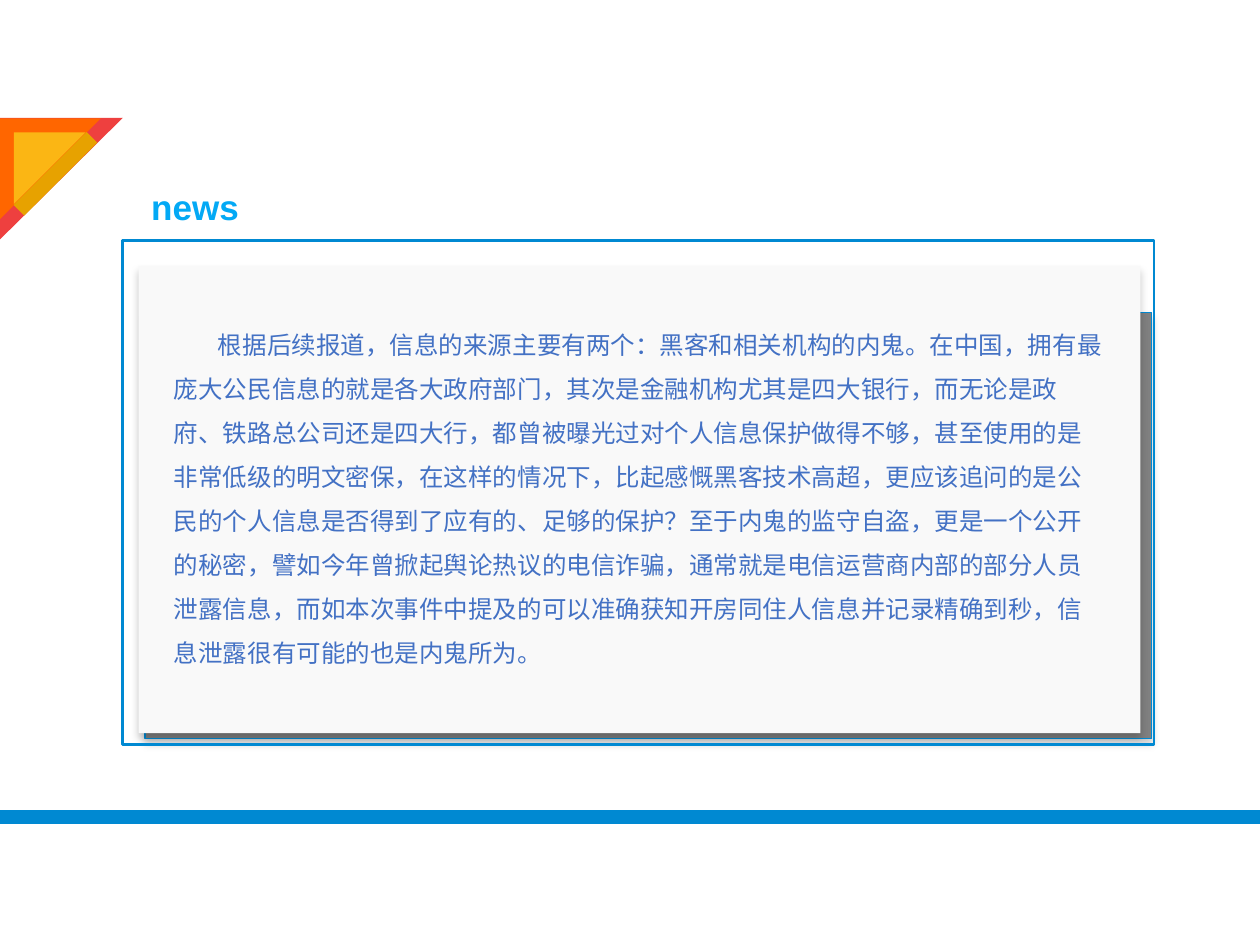
"""Build the news slide: a framed card of text with a corner ornament."""
from dataclasses import dataclass
from typing import Optional

from lxml import etree
from pptx import Presentation
from pptx.dml.color import RGBColor
from pptx.enum import shapes, text
from pptx.oxml import ns
from pptx.util import Inches, Pt

RECT = shapes.MSO_SHAPE.RECTANGLE
TRIANGLE = shapes.MSO_SHAPE.RIGHT_TRIANGLE
BLUE = "0089D2"
NEWS = (
    "根据后续报道，信息的来源主要有两个：黑客和相关机构的内鬼。在中国，拥有最庞大公民信息的就是各大政府部门，"
    "其次是金融机构尤其是四大银行，而无论是政府、铁路总公司还是四大行，都曾被曝光过对个人信息保护做得不够，"
    "甚至使用的是非常低级的明文密保，在这样的情况下，比起感慨黑客技术高超，更应该追问的是公民的个人信息是否"
    "得到了应有的、足够的保护？至于内鬼的监守自盗，更是一个公开的秘密，譬如今年曾掀起舆论热议的电信诈骗，"
    "通常就是电信运营商内部的部分人员泄露信息，而如本次事件中提及的可以准确获知开房同住人信息并记录精确到秒，"
    "信息泄露很有可能的也是内鬼所为。"
)


@dataclass
class Block:
    at: tuple[float, float, float, float]
    fill: Optional[str] = None
    line: Optional[float] = None
    shadow: bool = False
    kind: int = RECT
    rotation: float = 0


BLOCKS = [
    Block((1.15, 2.48, 7.99, 3.38), "808080", line=0.75, shadow=True),
    Block((1.1, 2.11, 7.95, 3.71), "F9F9F9", shadow=True),
    Block((0.97, 1.91, 8.19, 4), line=1.5),
    Block((0, 6.43, 10, 0.11), BLUE),
    Block((0, 0.93, 0.97, 0.98), "EE403F", kind=TRIANGLE, rotation=90),
    Block((0, 0.94, 0.8, 0.8), "FF6600", kind=TRIANGLE, rotation=90),
    Block((0.11, 1.05, 0.57, 0.57), "FBB614", kind=TRIANGLE, rotation=90),
    Block((0.38, 0.97, 0.12, 0.82), "E7A200", rotation=45),
]


def rgb(value: str) -> RGBColor:
    return RGBColor.from_string(value)


def add_shadow(sp) -> None:
    effects = sp.element.spPr.find(ns.qn("a:effectLst"))
    outer = etree.SubElement(effects, ns.qn("a:outerShdw"), blurRad=str(Pt(4)),
                             dist=str(Pt(3)), dir="5400000", algn="t", rotWithShape="0")
    color = etree.SubElement(outer, ns.qn("a:srgbClr"), val="000000")
    etree.SubElement(color, ns.qn("a:alpha"), val="20000")


def draw_block(s, block: Block) -> None:
    sp = s.shapes.add_shape(block.kind, *map(Inches, block.at))
    sp.rotation = block.rotation
    sp.shadow.inherit = False
    if block.fill:
        sp.fill.solid()
        sp.fill.fore_color.rgb = rgb(block.fill)
    else:
        sp.fill.background()
    if block.line:
        sp.line.color.rgb = rgb(BLUE)
        sp.line.width = Pt(block.line)
    else:
        sp.line.fill.background()
    if block.shadow:
        add_shadow(sp)


def fill_placeholder(sp, at: tuple, words: str, inset: tuple, color: str,
                     font: dict, para: dict, indent: float = 0) -> None:
    sp.left, sp.top, sp.width, sp.height = map(Inches, at)
    sp.element.getparent().append(sp.element)
    tf = sp.text_frame
    frame = dict(word_wrap=True, auto_size=text.MSO_AUTO_SIZE.SHAPE_TO_FIT_TEXT,
                 vertical_anchor=text.MSO_ANCHOR.TOP,
                 margin_left=Inches(inset[0]), margin_right=Inches(inset[0]),
                 margin_top=Inches(inset[1]), margin_bottom=Inches(inset[1]))
    p = tf.paragraphs[0]
    r = p.add_run()
    r.text = words
    p_pr = p._p.get_or_add_pPr()
    for name, value in dict(marL=0, indent=Inches(indent), hangingPunct=0).items():
        p_pr.set(name, str(value))
    etree.SubElement(p_pr, ns.qn("a:buNone"))
    for target, values in ((tf, frame), (p, para), (r.font, font)):
        for name, value in values.items():
            setattr(target, name, value)
    r.font.color.rgb = rgb(color)


def main() -> None:
    prs = Presentation()
    prs.slide_width, prs.slide_height = Inches(10), Inches(7.5)
    s = prs.slides.add_slide(prs.slide_layouts[1])
    title, body = s.placeholders
    for block in BLOCKS:
        draw_block(s, block)
    para = dict(alignment=text.PP_ALIGN.LEFT, space_before=Pt(0))
    fill_placeholder(title, (1.1, 1.42, 1.21, 0.43), "news", (0.1, 0.05), "03A9F5",
                     dict(name="Arial", size=Pt(20), bold=True), para)
    fill_placeholder(body, (1.3, 2.46, 7.54, 2.91), NEWS, (0.08, 0.04), "4371C4",
                     dict(name="Arial", size=Pt(14)), para | dict(line_spacing=1.5), indent=0.35)
    prs.save("out.pptx")


if __name__ == "__main__":
    main()
